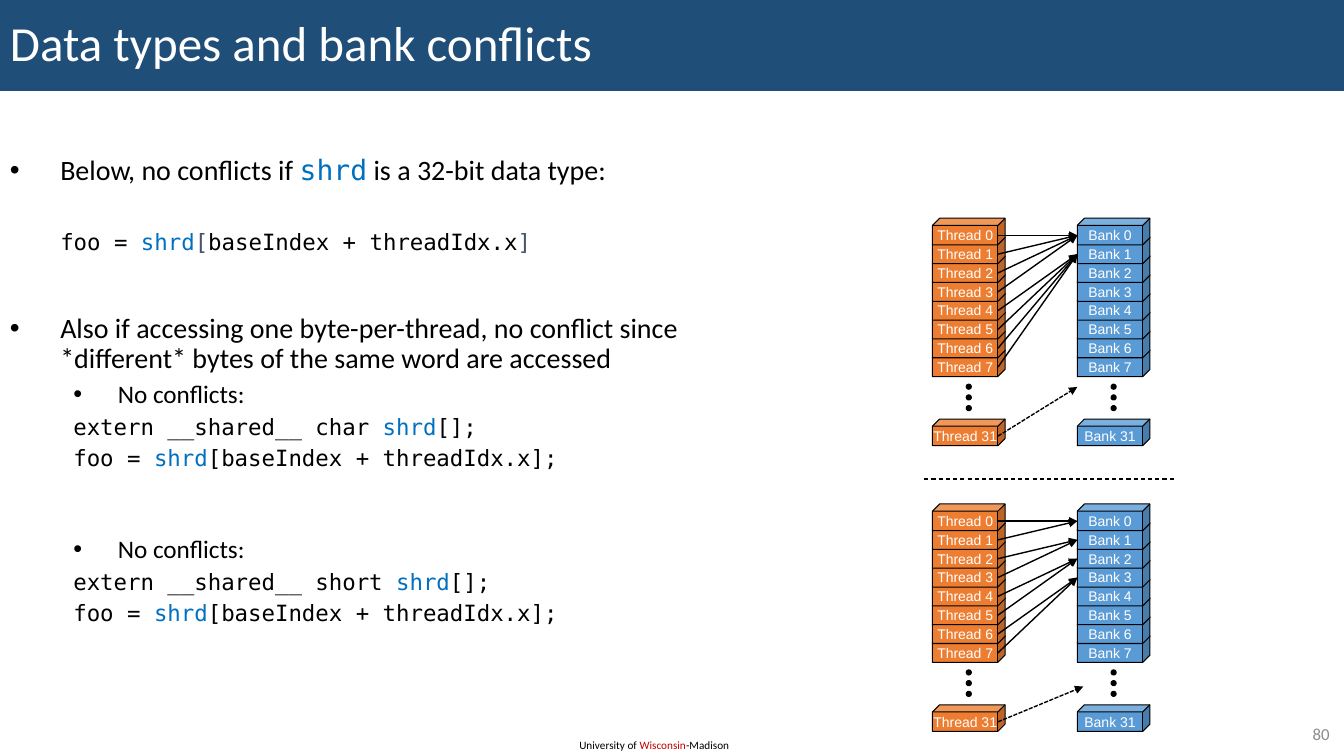
from dataclasses import dataclass

from lxml import etree
from pptx import Presentation
from pptx.dml.color import RGBColor
from pptx.enum.dml import MSO_LINE
from pptx.enum.shapes import MSO_CONNECTOR, MSO_SHAPE
from pptx.enum.text import MSO_ANCHOR, PP_ALIGN
from pptx.oxml.ns import qn
from pptx.util import Cm, Pt

CUBE, OVAL, RECTANGLE = MSO_SHAPE.CUBE, MSO_SHAPE.OVAL, MSO_SHAPE.RECTANGLE
STRAIGHT = MSO_CONNECTOR.STRAIGHT
DASH, SHORT_DASH = MSO_LINE.DASH, MSO_LINE.SQUARE_DOT
MIDDLE = MSO_ANCHOR.MIDDLE
LEFT, CENTER, RIGHT = PP_ALIGN.LEFT, PP_ALIGN.CENTER, PP_ALIGN.RIGHT


@dataclass(frozen=True)
class Theme:
    banner: RGBColor = RGBColor(0x1F, 0x4E, 0x79)
    white: RGBColor = RGBColor(0xFF, 0xFF, 0xFF)
    black: RGBColor = RGBColor(0x00, 0x00, 0x00)
    variable: RGBColor = RGBColor(0x00, 0x70, 0xC0)
    bracket: RGBColor = RGBColor(0x44, 0x54, 0x6A)
    red: RGBColor = RGBColor(0xC0, 0x00, 0x00)
    gray: RGBColor = RGBColor(0x8C, 0x8C, 0x8C)
    thread: RGBColor = RGBColor(0xED, 0x7D, 0x31)
    bank: RGBColor = RGBColor(0x5B, 0x9B, 0xD5)
    body_font: str = "Calibri"
    code_font: str = "DejaVu Sans Mono"
    label_font: str = "Arial"
    title_size: int = 35
    body_size: int = 20
    detail_size: int = 18
    code_size: int = 16
    number_size: int = 12
    label_size: int = 10
    footer_size: int = 8


theme = Theme()


def write(frame, spans, size, font=theme.body_font, color=theme.black, align=LEFT,
          before=0, spacing=1.0, margin=0, hanging=0, bullet=False):
    para = frame.paragraphs[0]
    if para.runs:
        para = frame.add_paragraph()
    properties = para._p.get_or_add_pPr()
    properties.set("marL", str(Cm(margin)))
    properties.set("indent", str(-Cm(hanging)))
    if bullet:
        etree.SubElement(properties, qn("a:buFont")).set("typeface", theme.label_font)
        etree.SubElement(properties, qn("a:buChar")).set("char", "•")
    para.alignment = align
    para.space_before = Pt(before)
    para.line_spacing = spacing
    for text, *style in spans:
        span = para.add_run()
        span.text = text
        span.font.size = Pt(size)
        span.font.color.rgb = style[0] if style else color
        span.font.name = style[1] if len(style) > 1 else font


def connect(shapes, start, end, width, dash=None, arrow=True):
    line = shapes.add_connector(STRAIGHT, *(Cm(value) for value in start + end))
    line.line.color.rgb = theme.black
    line.line.width = Pt(width)
    if dash:
        line.line.dash_style = dash
    if arrow:
        outline = line.line._get_or_add_ln()
        etree.SubElement(outline, qn("a:tailEnd")).set("type", "triangle")
    etree.SubElement(line._element.spPr, qn("a:effectLst"))


deck = Presentation()
deck.slide_width, deck.slide_height = Cm(33.87), Cm(19.05)
page = deck.slides.add_slide(deck.slide_layouts[6])

footer = page.shapes.add_textbox(Cm(14.35), Cm(18.49), Cm(4.37), Cm(0.6)).text_frame
footer.word_wrap = False
write(footer, [("University of ",), ("Wisconsin", theme.red), ("-Madison",)],
      theme.footer_size)

banner = page.shapes.add_shape(RECTANGLE, 0, 0, deck.slide_width, Cm(2.29))
banner.shadow.inherit = False
banner.fill.solid()
banner.fill.fore_color.rgb = theme.banner
banner.line.fill.background()
banner.text_frame.vertical_anchor = MIDDLE
write(banner.text_frame, [("Data types and bank conflicts",)], theme.title_size,
      color=theme.white, spacing=0.9)

body = page.shapes.add_textbox(0, Cm(3.81), Cm(17.78), Cm(13.77)).text_frame
body.word_wrap = True
shrd = ("shrd", theme.variable, theme.code_font)
point = dict(size=theme.body_size, margin=1.27, hanging=1.27, bullet=True, spacing=0.9)
code = dict(size=theme.code_size, font=theme.code_font, spacing=0.9)
write(body, [("Below, no conflicts if ",), shrd, (" is a 32-bit data type:",)], **point)
write(body, [("foo = ",), shrd, ("[", theme.bracket), ("baseIndex + threadIdx.x",),
             ("]", theme.bracket)], before=32, margin=1.27, **code)
write(body, [("Also if accessing one byte-per-thread, no conflict since "
              "*different* bytes of the same word are accessed",)], before=42, **point)
for data_type, before in (("char", 5), ("short", 47)):
    write(body, [("No conflicts:",)], theme.detail_size, before=before, spacing=0.9,
          margin=2.72, hanging=1.12, bullet=True)
    write(body, [(f"extern __shared__ {data_type} ",), shrd, ("[];",)],
          before=5, margin=1.6, **code)
    write(body, [("foo = ",), shrd, ("[baseIndex + threadIdx.x];",)],
          before=5, margin=1.6, **code)

connect(page.shapes, (23.29, 12.07), (29.64, 12.07), 0.75, dash=DASH, arrow=False)

THREAD_LEFT, BANK_LEFT, FACE_RIGHT = 23.5, 27.15, 25.15
CUBE_WIDTH, CUBE_HEIGHT = 1.83, 0.67
ROW_COUNT, ROW_PITCH = 8, 3.32 / 7
LAST_ROW, FACE_MIDDLE = 5.06, 0.43
DOT_LEFT, DOT_TOP, DOT_PITCH, DOT_SIZE = 0.85, 4.18, 0.27, 0.13

for top, threads_per_bank, last_target in ((5.5, 4, (27.15, 9.75)),
                                           (12.7, 2, (27.3, 17.3))):
    panel = page.shapes.add_group_shape().shapes
    rows = [(31, top + LAST_ROW)]
    rows += [(row, top + row * ROW_PITCH) for row in reversed(range(ROW_COUNT))]
    for name, left, color in (("Bank", BANK_LEFT, theme.bank),
                              ("Thread", THREAD_LEFT, theme.thread)):
        for number, row_top in rows:
            cube = panel.add_shape(CUBE, Cm(left), Cm(row_top),
                                   Cm(CUBE_WIDTH), Cm(CUBE_HEIGHT))
            cube.adjustments[0] = 0.27
            cube.shadow.inherit = False
            cube.fill.solid()
            cube.fill.fore_color.rgb = color
            cube.line.color.rgb = theme.black
            cube.line.width = Pt(0.75)
            label = cube.text_frame
            label.word_wrap = False
            label.vertical_anchor = MIDDLE
            label.margin_left = label.margin_right = 0
            label.margin_top = label.margin_bottom = 0
            write(label, [(f"{name} {number}",)], theme.label_size,
                  font=theme.label_font, color=theme.white, align=CENTER)
        for step in range(3):
            dot = panel.add_shape(OVAL, Cm(left + DOT_LEFT),
                                  Cm(top + DOT_TOP + step * DOT_PITCH),
                                  Cm(DOT_SIZE), Cm(DOT_SIZE))
            dot.shadow.inherit = False
            dot.fill.solid()
            dot.fill.fore_color.rgb = theme.black
            dot.line.color.rgb = theme.black
            dot.line.width = Pt(0.75)
    first_middle = top + FACE_MIDDLE
    for thread in range(ROW_COUNT):
        bank = thread // threads_per_bank
        connect(panel, (FACE_RIGHT, first_middle + thread * ROW_PITCH),
                (BANK_LEFT, first_middle + bank * ROW_PITCH), 1)
    connect(panel, (FACE_RIGHT, first_middle + LAST_ROW), last_target, 1, dash=SHORT_DASH)

number_box = page.shapes.add_textbox(Cm(31.83), Cm(18.11), Cm(1.93), Cm(0.74)).text_frame
number_box.word_wrap = True
number_box.vertical_anchor = MIDDLE
write(number_box, [("80",)], theme.number_size, color=theme.gray, align=RIGHT)

deck.save("out.pptx")
